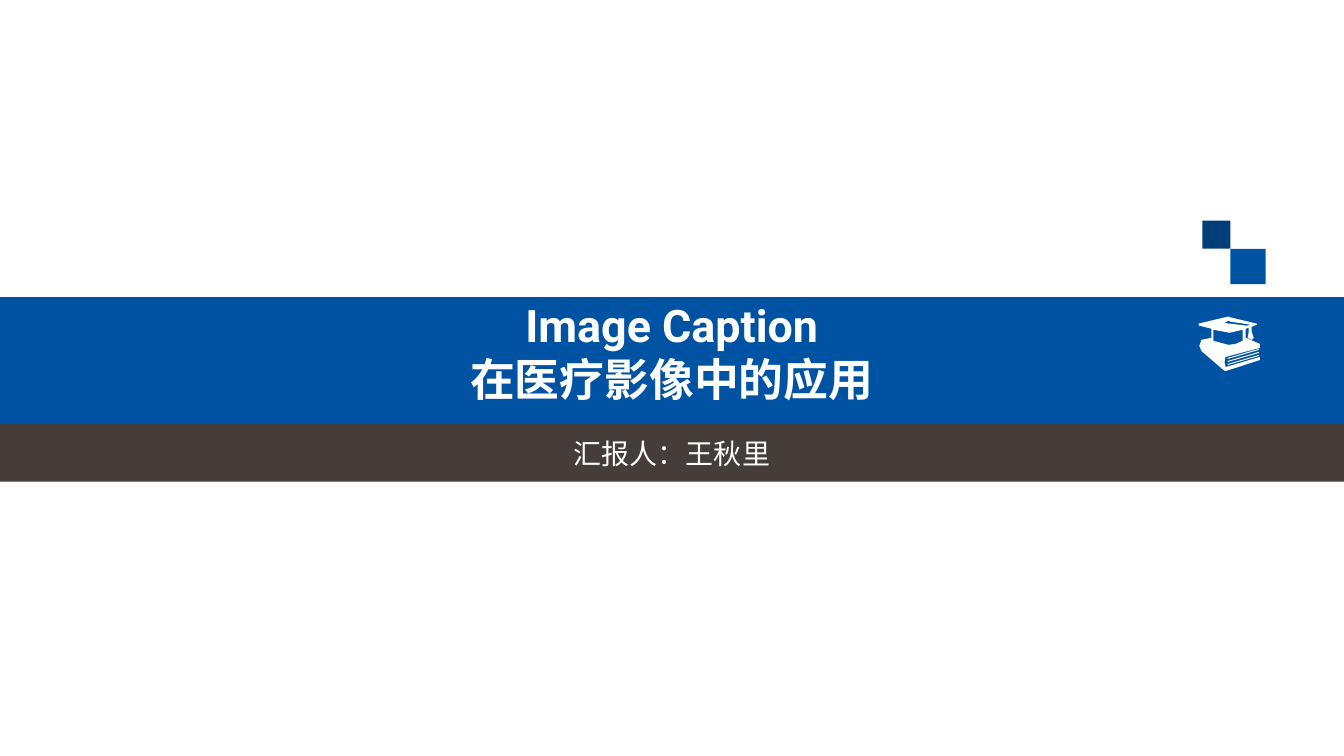
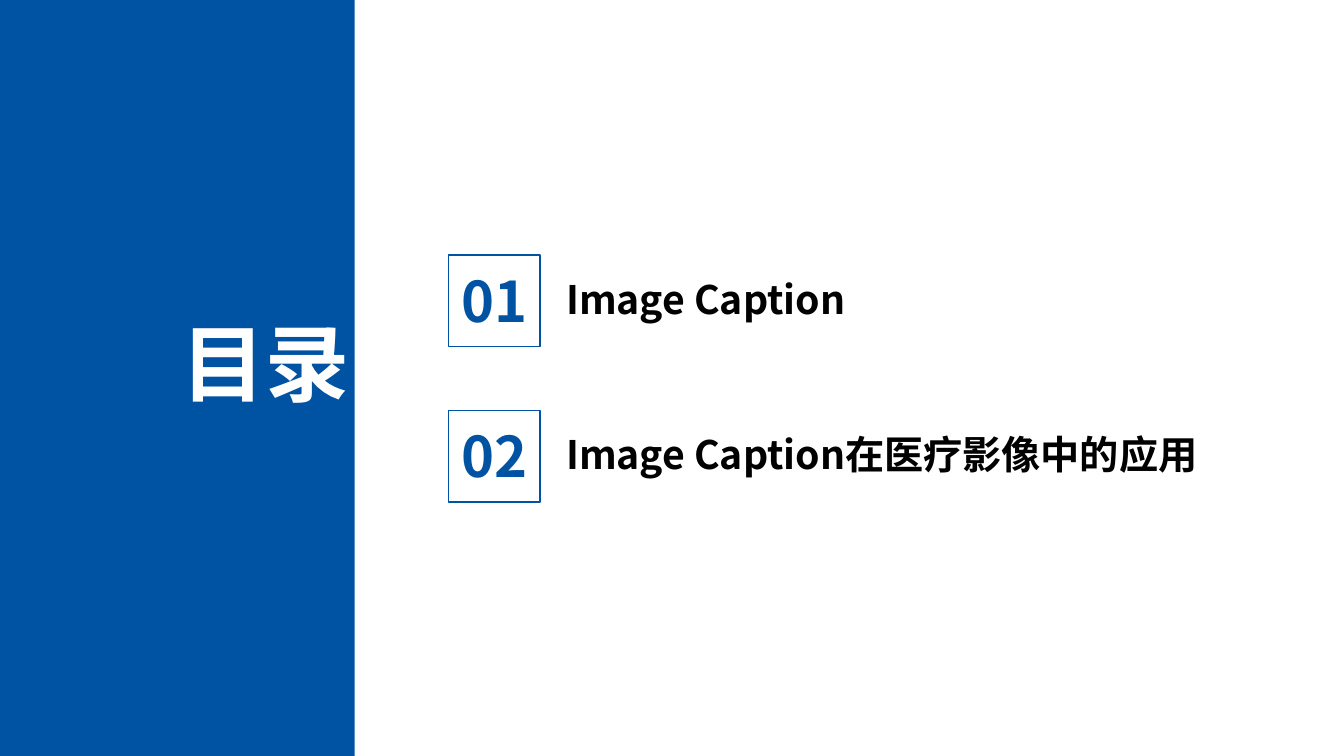
from lxml import etree
from pptx import Presentation
from pptx.dml.color import RGBColor
from pptx.enum.shapes import MSO_SHAPE
from pptx.enum.text import PP_ALIGN
from pptx.oxml.ns import qn
from pptx.util import Cm, Pt

RECTANGLE = MSO_SHAPE.RECTANGLE
LEFT, CENTER, RIGHT = PP_ALIGN.LEFT, PP_ALIGN.CENTER, PP_ALIGN.RIGHT
COLORS = {
    "blue": "0053A3",
    "navy": "003E7A",
    "brown": "453D3A",
    "white": "FFFFFF",
    "black": "000000",
}
SANS, LATIN = "Noto Sans CJK SC", "Roboto"
WIDTH, HEIGHT = 33.87, 19.05
INSET = 0.13

# Book with graduation cap, drawn on a grid 61 units wide
ICON_UNITS = 61
BOOK_AND_CAP = [
    (53, 15), (55, 21), (53, 23), (49, 21), (50, 15), (50, 11), (47, 12),
    (47, 21), (61, 27), (61, 31), (27, 40), (26, 45), (27, 50), (61, 40),
    (61, 43), (27, 54), (25, 53), (3, 34), (1, 29), (3, 23), (13, 21),
    (13, 12), (1, 9), (0, 7), (29, 0), (58, 7), (58, 8), (53, 10),
]
CAP_OPENING = [(15, 13), (15, 24), (30, 28), (37, 27), (44, 24), (44, 13), (31, 16)]
CAP_BUTTON = [(48, 9), (52, 8), (32, 5), (30, 4), (26, 6), (30, 7), (32, 7)]
PAGE_EDGES = [
    [(29, y), (29, y + 1), (60, y - 8), (60, y - 9)] for y in (41, 44, 47)
]


def color(name):
    return RGBColor.from_string(COLORS[name])


def paint(shape, fill=None, line=None):
    shape.shadow.inherit = False
    if fill:
        shape.fill.solid()
        shape.fill.fore_color.rgb = color(fill)
    else:
        shape.fill.background()
    if line:
        shape.line.color.rgb = color(line)
        shape.line.width = Pt(1)
    else:
        shape.line.fill.background()


def add_box(shapes, left, top, width, height, **style):
    box = shapes.add_shape(RECTANGLE, Cm(left), Cm(top), Cm(width), Cm(height))
    paint(box, **style)


def add_text(shapes, left, top, width, height, *lines, size, ink,
             font=SANS, bold=False, align=LEFT):
    box = shapes.add_textbox(Cm(left), Cm(top), Cm(width), Cm(height))
    frame = box.text_frame
    frame.word_wrap = True
    frame.margin_left = frame.margin_right = Cm(INSET)
    frame.margin_top = frame.margin_bottom = Cm(INSET)
    for index, line in enumerate(lines):
        para = frame.paragraphs[0] if index == 0 else frame.add_paragraph()
        para.alignment = align
        span = para.add_run()
        span.text = line
        span.font.size = Pt(size)
        span.font.bold = bold
        span.font.color.rgb = color(ink)
        span.font.name = font
        # Chinese characters take the East Asian typeface
        east_asian = etree.SubElement(span.font._element, qn("a:ea"))
        east_asian.set("typeface", SANS)


def add_icon(shapes, left, top, width):
    start, *rest = BOOK_AND_CAP
    builder = shapes.build_freeform(*start, scale=Cm(width) / ICON_UNITS)
    builder.add_line_segments(rest, close=True)
    for hole in (CAP_OPENING, CAP_BUTTON, *PAGE_EDGES):
        builder.move_to(*hole[0])
        builder.add_line_segments(hole[1:], close=True)
    paint(builder.convert_to_shape(Cm(left), Cm(top)), fill="white")


def add_corner_squares(shapes, corner_x, corner_y, small=0.71, large=0.89):
    """Two squares that touch at one corner."""
    add_box(shapes, corner_x, corner_y, large, large, fill="blue")
    add_box(shapes, corner_x - small, corner_y - small, small, small, fill="navy")


def add_agenda_row(page, left, top, number, label, size=2.31):
    shapes = page.shapes.add_group_shape().shapes
    add_text(shapes, left + 2.84, top + 0.38, 19.13, 1.45, label,
             size=28, ink="black", bold=True)
    add_text(shapes, left, top + 0.15, size, 1.96, f"{number:02d}",
             size=40, ink="blue", bold=True, align=CENTER)
    add_box(shapes, left, top, size, size, line="blue")


def build_cover(page, title_lines, presenter):
    shapes = page.shapes
    band_top, title_height, presenter_height = 7.49, 3.2, 1.45
    presenter_top = band_top + title_height
    text_width = 23
    text_left = (WIDTH - text_width) / 2
    # Bands
    add_box(shapes, 0, presenter_top, WIDTH, presenter_height, fill="brown")
    add_box(shapes, 0, band_top, WIDTH, title_height, fill="blue")
    # Title and presenter
    add_text(shapes, text_left, band_top - 0.12, text_width, 3.18, *title_lines,
             size=32, ink="white", font=LATIN, bold=True, align=CENTER)
    add_text(shapes, text_left, presenter_top + 0.18, text_width, 1.24, presenter,
             size=20, ink="white", font=LATIN, align=CENTER)
    # Decoration
    add_corner_squares(shapes, 31.01, band_top - 1.22)
    add_icon(shapes, 30.2, band_top + 0.49, 1.55)


def build_agenda(page, title, labels):
    shapes = page.shapes
    sidebar, title_width = 8.94, 6.45
    # Sidebar
    add_box(shapes, 0, 0, sidebar, HEIGHT, fill="blue")
    add_text(shapes, sidebar - title_width, 7.72, title_width, 3.23, title,
             size=60, ink="white", bold=True, align=RIGHT)
    # Numbered rows
    first_top, pitch = 6.43, 3.91
    for index, label in enumerate(labels):
        add_agenda_row(page, 11.3, first_top + index * pitch, index + 1, label)


def main():
    deck = Presentation()
    deck.slide_width, deck.slide_height = Cm(WIDTH), Cm(HEIGHT)
    blank = deck.slide_layouts[6]
    build_cover(deck.slides.add_slide(blank),
                ["Image Caption", "在医疗影像中的应用"], "汇报人：王秋里")
    build_agenda(deck.slides.add_slide(blank), "目录",
                 ["Image Caption", "Image Caption在医疗影像中的应用"])
    deck.save("out.pptx")


if __name__ == "__main__":
    main()
